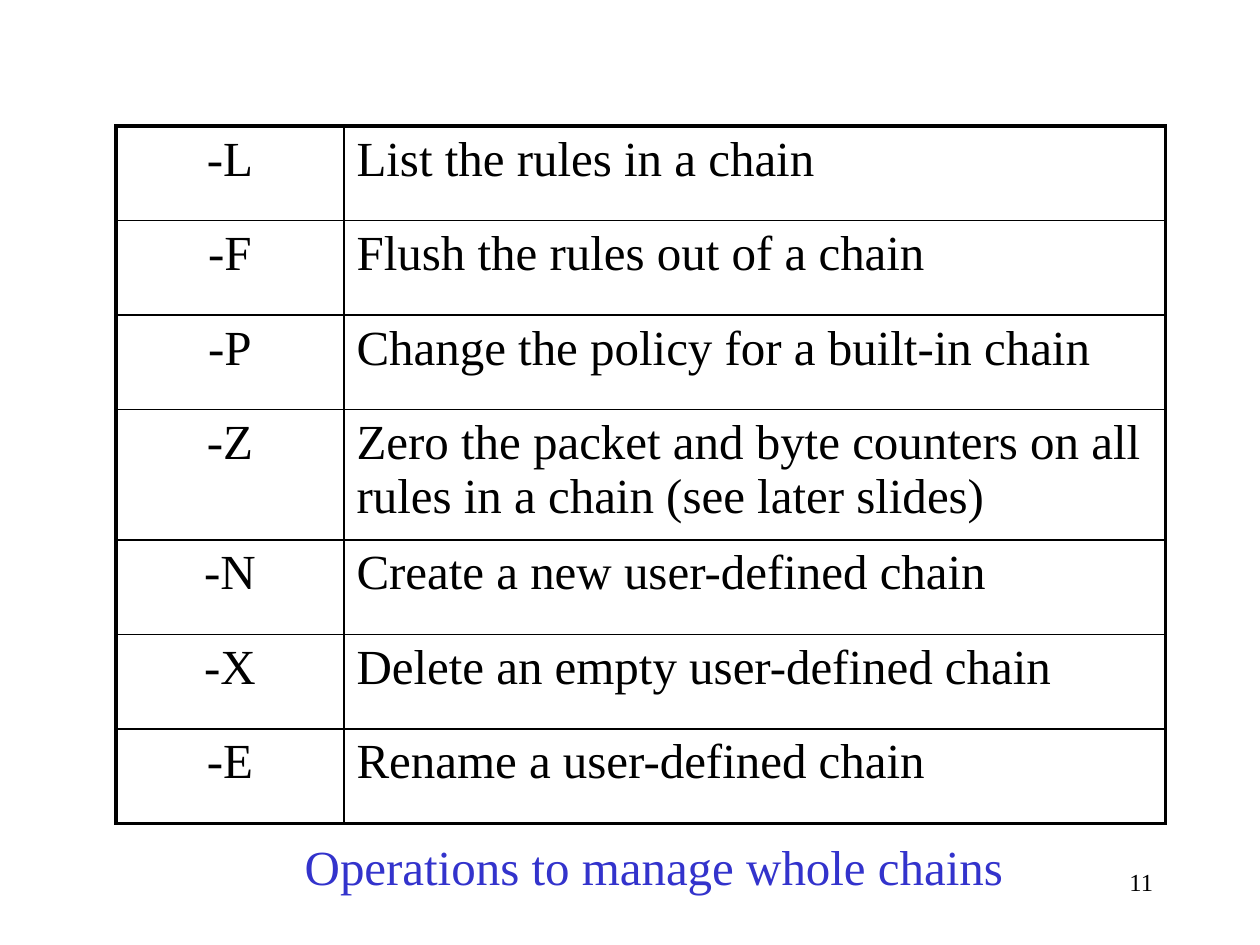
from lxml.etree import SubElement
from pptx import Presentation
from pptx.dml.color import RGBColor
from pptx.enum.text import PP_ALIGN
from pptx.oxml.ns import qn
from pptx.util import Inches, Pt

COLORS = {"text": "000000", "border": "000000", "caption": "3333CC"}
FONT = "Times New Roman"
OPERATIONS = [
    ("-L", "List the rules in a chain"),
    ("-F", "Flush the rules out of a chain"),
    ("-P", "Change the policy for a built-in chain"),
    ("-Z", "Zero the packet and byte counters on all rules in a chain (see later slides)"),
    ("-N", "Create a new user-defined chain"),
    ("-X", "Delete an empty user-defined chain"),
    ("-E", "Rename a user-defined chain"),
]
COL_WIDTHS = [1.81, 6.52]
ROW_HEIGHTS = [1.03 if option == "-Z" else 0.75 for option, _ in OPERATIONS]
OUTER, INNER = 2.25, 1


def write(tf, text, size, color, align):
    p = tf.paragraphs[0]
    p.alignment = align
    r = p.add_run()
    r.text = text
    r.font.size = Pt(size)
    r.font.name = FONT
    r.font.color.rgb = RGBColor.from_string(COLORS[color])


def add_border(cell, side, width):
    ln = SubElement(cell._tc.get_or_add_tcPr(), qn(f"a:ln{side}"), w=str(Pt(width)))
    fill = SubElement(ln, qn("a:solidFill"))
    SubElement(fill, qn("a:srgbClr"), val=COLORS["border"])


prs = Presentation()
prs.slide_width, prs.slide_height = Inches(10), Inches(7.5)
s = prs.slides.add_slide(prs.slide_layouts[6])

# Page number
sp = s.shapes.add_textbox(Inches(7.17), Inches(6.83), Inches(2.08), Inches(0.5))
sp.text_frame.word_wrap = True
write(sp.text_frame, "11", 14, "text", PP_ALIGN.RIGHT)

# Table of chain operations
table = s.shapes.add_table(
    len(OPERATIONS), 2, Inches(0.92), Inches(1),
    Inches(sum(COL_WIDTHS)), Inches(sum(ROW_HEIGHTS)),
).table
table.first_row = table.horz_banding = False
for col, width in zip(table.columns, COL_WIDTHS):
    col.width = Inches(width)
for row, height in zip(table.rows, ROW_HEIGHTS):
    row.height = Inches(height)

last = len(OPERATIONS) - 1
for i, operation in enumerate(OPERATIONS):
    for j, text in enumerate(operation):
        cell = table.cell(i, j)
        align = PP_ALIGN.CENTER if j == 0 else PP_ALIGN.LEFT
        write(cell.text_frame, text, 28, "text", align)
        # Thick frame outside, thin lines inside
        on_edge = {"L": j == 0, "R": j == 1, "T": i == 0, "B": i == last}
        for side, outside in on_edge.items():
            add_border(cell, side, OUTER if outside else INNER)
        cell.fill.background()

# Caption
sp = s.shapes.add_textbox(Inches(2.32), Inches(6.59), Inches(5.74), Inches(0.57))
sp.text_frame.word_wrap = False
write(sp.text_frame, "Operations to manage whole chains", 28, "caption", PP_ALIGN.LEFT)

prs.save("out.pptx")
